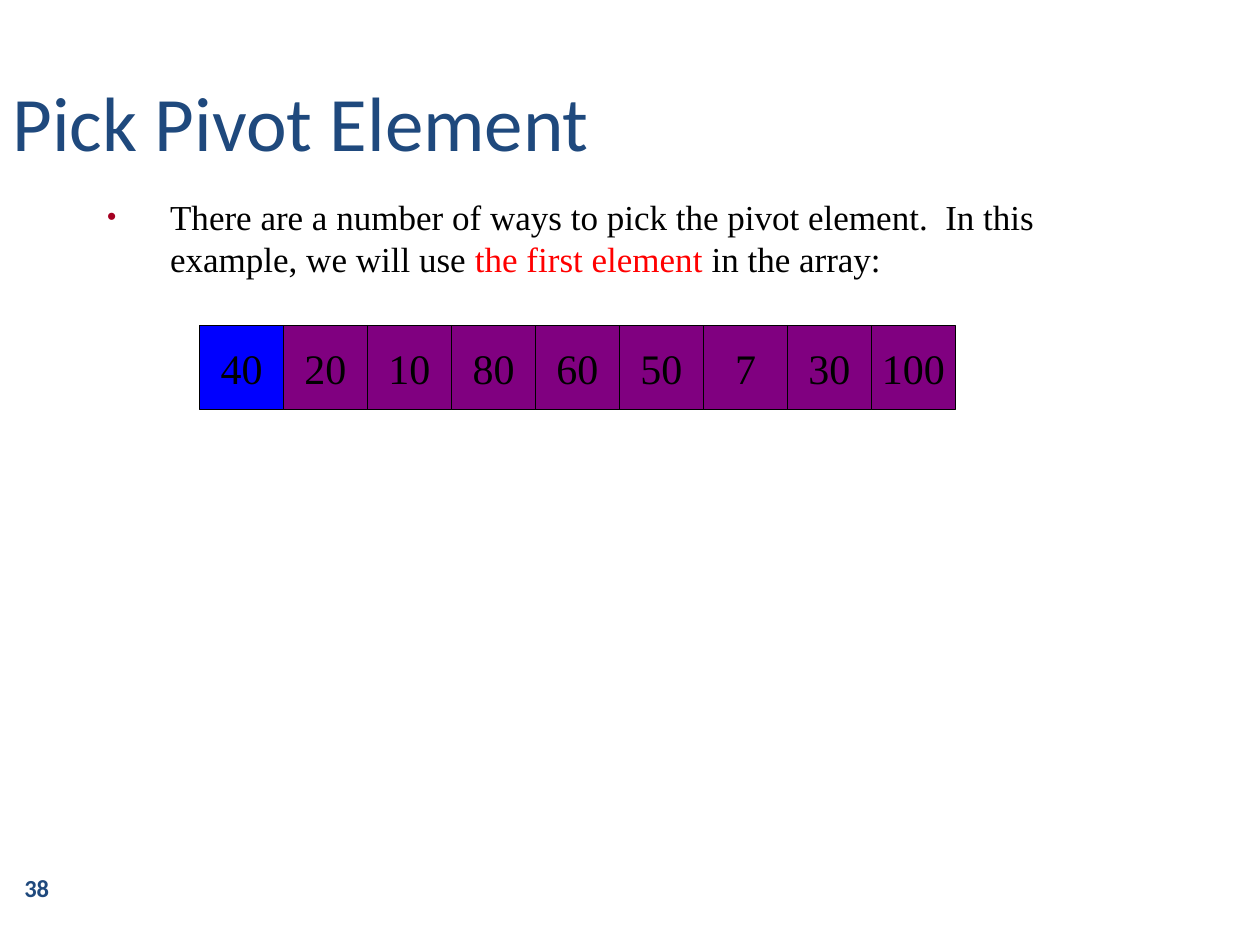
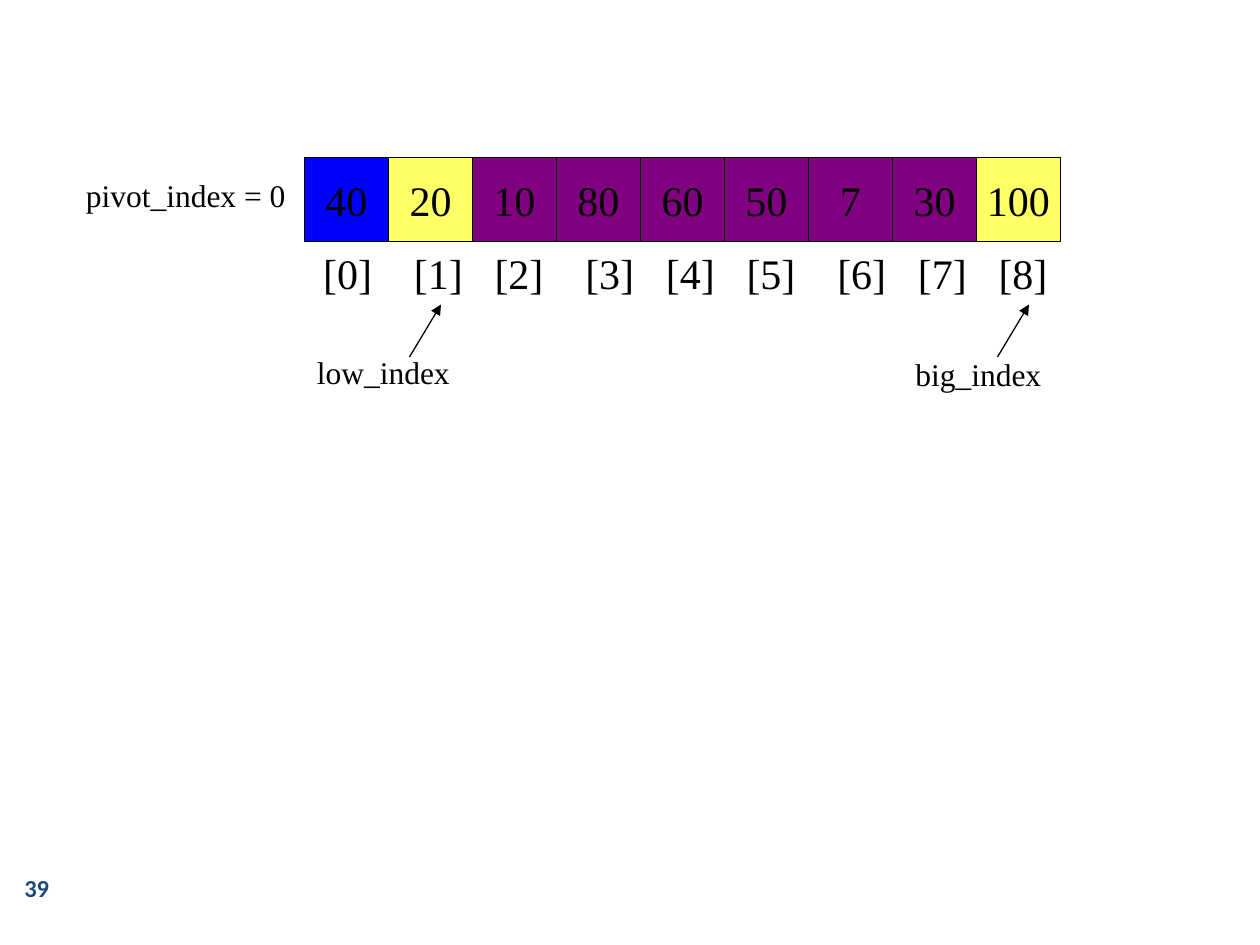
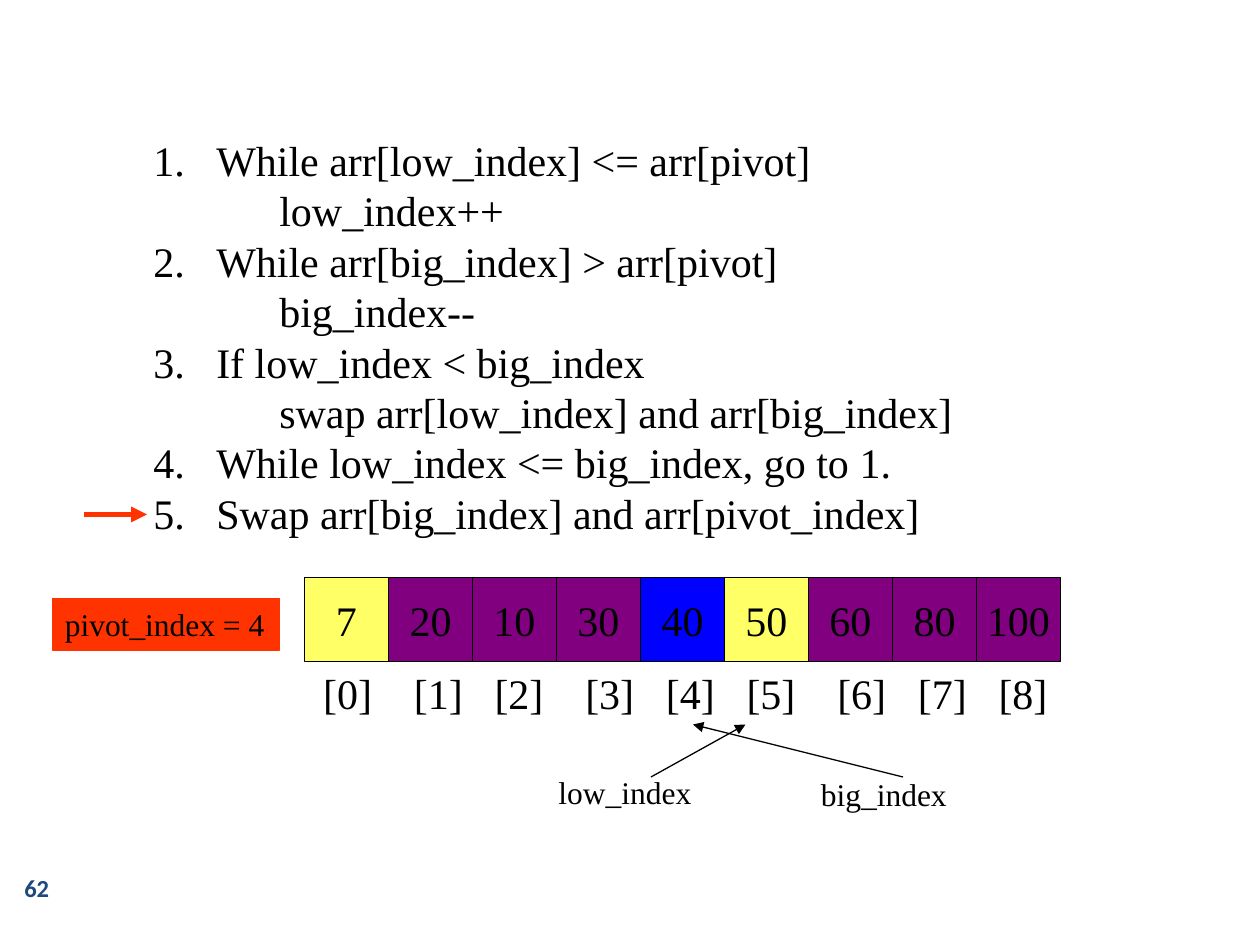
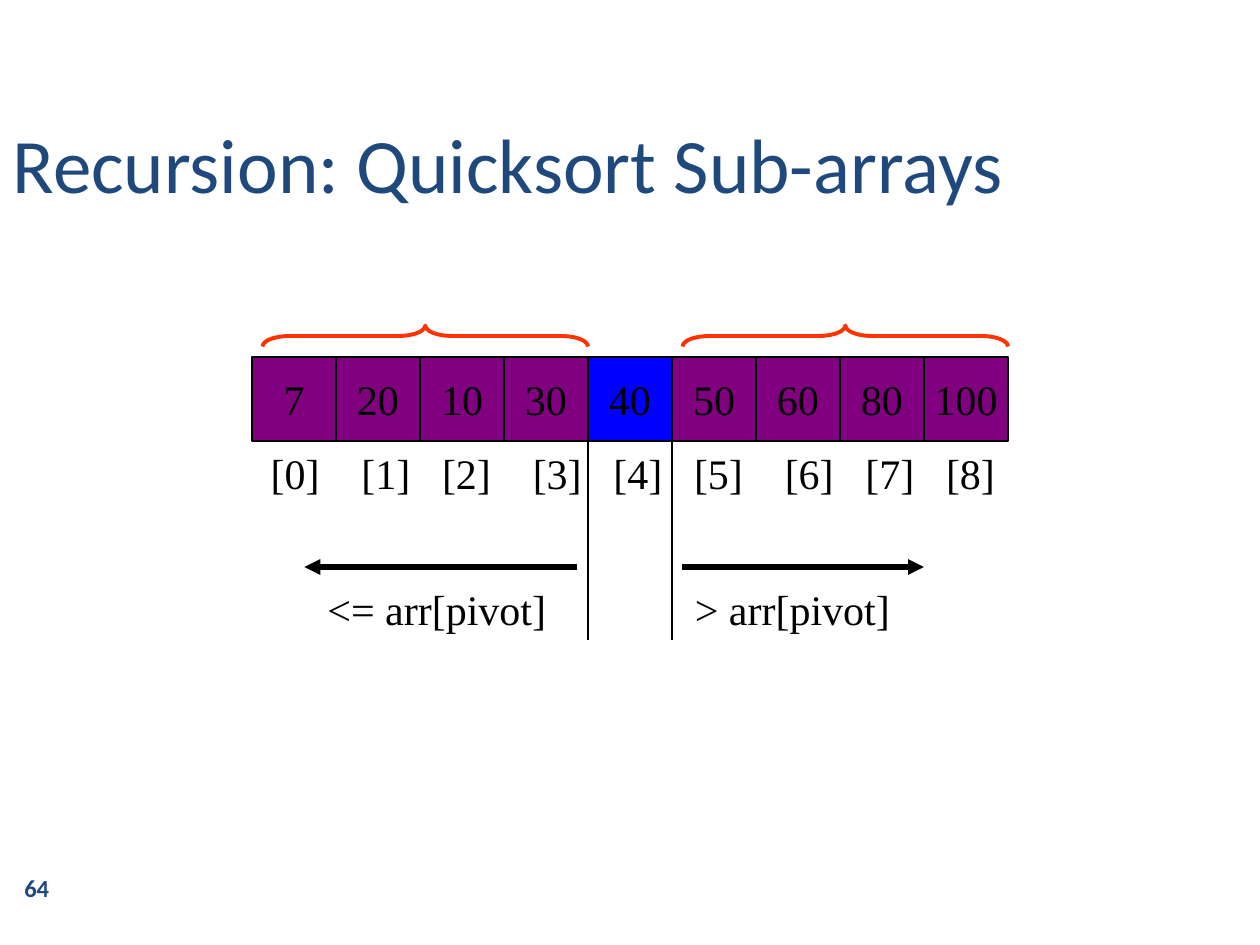
from dataclasses import dataclass
from itertools import accumulate

from lxml import etree
from pptx import Presentation
from pptx.dml.color import RGBColor
from pptx.enum import shapes, text
from pptx.oxml import ns
from pptx import util as u


@dataclass(frozen=True)
class Theme:
    # Colours
    heading: str = "1F497D"
    ink: str = "000000"
    accent: str = "FF0000"
    signal: str = "FF3300"
    bullet: str = "A50021"
    pivot: str = "0000FF"
    marked: str = "FFFF66"
    cell: str = "800080"
    # Fonts
    heading_font: str = "Calibri"
    body_font: str = "Times New Roman"
    # Type sizes and line widths in points
    title_size: int = 44
    body_size: int = 20
    code_size: int = 24
    label_size: int = 18
    number_size: int = 14
    thin: float = 0.75
    medium: float = 2.25
    thick: float = 3


COLUMNS, ROWS = 120, 90
CELL = 8                     # side of an array cell, in grid units
HANG = u.Inches(0.5)         # hanging indent of a list item
WIDE, NARROW = 0.72, 0.64    # steps between index labels, in inches
INDEX_STEPS = [WIDE, NARROW, WIDE, NARROW, NARROW, WIDE, NARROW, NARROW]
LAYOUTS = {"list": 1, "title": 5, "blank": 6}


def apply_format(target, values):
    for name, value in values.items():
        setattr(target, name, value)


def add_element(parent, tag, **attributes):
    element = etree.SubElement(parent, ns.qn(tag))
    for name, value in attributes.items():
        element.set(name, str(value))
    return element


class SlideBuilder:
    """Holds the theme and the page being drawn."""

    def __init__(self, theme):
        self.theme = theme
        self.deck = Presentation()
        apply_format(self.deck, {"slide_width": u.Inches(10),
                                 "slide_height": u.Inches(7.5)})
        self.page = None

    # Grid
    def x(self, column):
        return round(self.deck.slide_width * column / COLUMNS)

    def y(self, row):
        return round(self.deck.slide_height * row / ROWS)

    def area(self, column, row, width, height):
        return self.x(column), self.y(row), self.x(width), self.y(height)

    def place(self, box, *cells):
        apply_format(box, dict(zip(("left", "top", "width", "height"),
                                   self.area(*cells))))

    # Pages
    def new_page(self, number, layout="blank"):
        self.page = self.deck.slides.add_slide(
            self.deck.slide_layouts[LAYOUTS[layout]])
        box = self.page.shapes.add_textbox(*self.area(0, 82, 7, 5))
        self.frame(box, anchor=text.MSO_ANCHOR.MIDDLE)
        self.put_text(box, str(number), self.theme.number_size,
                      color=self.theme.heading, font=self.theme.heading_font,
                      bold=True, align=text.PP_ALIGN.CENTER)

    # Text
    def frame(self, box, anchor=text.MSO_ANCHOR.TOP, **values):
        apply_format(box.text_frame, {
            "auto_size": text.MSO_AUTO_SIZE.NONE, "word_wrap": True,
            "vertical_anchor": anchor, **values})

    def span(self, para, words, size, color=None, font=None, bold=False):
        span = para.add_run()
        span.text = words
        apply_format(span.font, {"size": u.Pt(size), "bold": bold,
                                 "name": font or self.theme.body_font})
        span.font.color.rgb = RGBColor.from_string(color or self.theme.ink)

    def put_text(self, box, words, size, align=text.PP_ALIGN.LEFT, **style):
        para = box.text_frame.paragraphs[0]
        para.alignment = align
        self.span(para, words, size, **style)
        return para

    def title(self, words, row):
        box = self.page.shapes.title
        self.place(box, 0, row, 102, 15)
        self.frame(box, anchor=text.MSO_ANCHOR.MIDDLE)
        self.put_text(box, words, self.theme.title_size,
                      color=self.theme.heading, font=self.theme.heading_font)

    def body(self, *cells):
        box = self.page.placeholders[1]
        self.place(box, *cells)
        self.frame(box)
        return box.text_frame

    def item_format(self, para, margin, indent):
        para.space_before = u.Pt(0)
        properties = para._p.get_or_add_pPr()
        properties.set("marL", str(margin))
        properties.set("indent", str(indent))
        return properties

    def bullet(self, frame, spans):
        para = frame.paragraphs[0]
        properties = self.item_format(para, HANG, -HANG)
        color = add_element(properties, "a:buClr")
        add_element(color, "a:srgbClr", val=self.theme.bullet)
        add_element(properties, "a:buSzPct", val=75000)
        add_element(properties, "a:buChar", char="•")
        for words, color in spans:
            self.span(para, words, self.theme.body_size, color=color)

    def steps(self, frame, steps):
        """Numbered steps, each with an optional action one level below."""
        para = frame.paragraphs[0]
        for number, (condition, action) in enumerate(steps, 1):
            if number > 1:
                para = frame.add_paragraph()
            properties = self.item_format(para, HANG, -HANG)
            add_element(properties, "a:buFont", typeface="+mj-lt")
            add_element(properties, "a:buAutoNum", type="arabicPeriod",
                        startAt=number)
            self.span(para, condition, self.theme.code_size)
            if action:
                para = frame.add_paragraph()
                para.level = 1
                add_element(self.item_format(para, 2 * HANG, 0), "a:buNone")
                self.span(para, action, self.theme.code_size)

    def label(self, words, column, row, width, height=4.8, size=None):
        box = self.page.shapes.add_textbox(
            *self.area(column, row, width, height))
        self.frame(box, margin_right=0)
        return self.put_text(box, words, size or self.theme.label_size)

    # Shapes
    def rectangle(self, fill, line, *cells):
        box = self.page.shapes.add_shape(shapes.MSO_SHAPE.RECTANGLE,
                                         *self.area(*cells))
        box.shadow.inherit = False
        box.fill.solid()
        box.fill.fore_color.rgb = RGBColor.from_string(fill)
        self.outline(box, line, self.theme.thin)
        return box

    def outline(self, box, color, width):
        box.line.color.rgb = RGBColor.from_string(color)
        box.line.width = u.Pt(width)

    def tag(self, words, *cells):
        box = self.rectangle(self.theme.signal, self.theme.signal, *cells)
        self.frame(box, margin_right=0)
        self.put_text(box, words, self.theme.label_size)

    def array(self, values, column, row, pivot, marked=(), indexed=True):
        for place, value in enumerate(values):
            fill = (self.theme.pivot if place == pivot else
                    self.theme.marked if place in marked else self.theme.cell)
            box = self.rectangle(fill, self.theme.ink,
                                 column + place * CELL, row, CELL, CELL)
            self.frame(box, anchor=text.MSO_ANCHOR.MIDDLE, word_wrap=False)
            self.put_text(box, str(value), self.theme.code_size,
                          align=text.PP_ALIGN.CENTER)
        if indexed:
            self.indexes(len(values), column + 0.6, row + CELL)

    def indexes(self, count, column, row):
        words = "\t".join(f"[{place}]" for place in range(count))
        para = self.label(words, column, row, 71.4, 6, self.theme.code_size)
        stops = add_element(para._p.get_or_add_pPr(), "a:tabLst")
        for stop in accumulate(INDEX_STEPS):
            add_element(stops, "a:tab", pos=u.Inches(stop), algn="l")

    def brace(self, column, row, width, height=2):
        # Drawn upright about the same centre, then turned a quarter
        middle, centre = column + width / 2, row + height / 2
        box = self.page.shapes.add_shape(
            shapes.MSO_SHAPE.LEFT_BRACE,
            *self.area(middle - height / 2, centre - width / 2, height, width))
        box.rotation = 90
        box.adjustments[0] = 1.29
        box.shadow.inherit = False
        box.fill.background()
        self.outline(box, self.theme.signal, self.theme.medium)

    def line(self, start, end, color=None, width=None, arrow=True):
        line = self.page.shapes.add_connector(
            shapes.MSO_CONNECTOR.STRAIGHT, self.x(start[0]), self.y(start[1]),
            self.x(end[0]), self.y(end[1]))
        self.outline(line, color or self.theme.ink, width or self.theme.thin)
        if arrow:
            add_element(line.get_or_add_ln(), "a:tailEnd", type="triangle")
        add_element(line._element.spPr, "a:effectLst")


def pick_pivot(show, numbers):
    show.new_page(38, "list")
    show.title("Pick Pivot Element", 4)
    show.bullet(show.body(9, 18, 102, 54), [
        ("There are a number of ways to pick the pivot element.  "
         "In this example, we will use ", show.theme.ink),
        ("the first element ", show.theme.accent),
        ("in the array:", show.theme.ink)])
    show.array(numbers, 19, 31, pivot=0, indexed=False)


def start_partition(show, numbers):
    show.new_page(39)
    show.array(numbers, 29, 15, pivot=0, marked=(1, 8))
    show.label("pivot_index = 0", 7, 16.2, 21.5)
    show.label("low_index", 29, 33, 38)
    show.label("big_index", 86, 33.2, 28)
    for column in (95, 39):
        show.line((column, 34), (column + 3, 29))


def finish_partition(show, numbers):
    show.new_page(62, "list")
    title = show.page.shapes.title._element
    title.getparent().remove(title)
    show.steps(show.body(13.4, 12.2, 79.2, 54.5), [
        ("While arr[low_index] <= arr[pivot]", "low_index++"),
        ("While arr[big_index] > arr[pivot]", "big_index--"),
        ("If low_index < big_index", "swap arr[low_index] and arr[big_index]"),
        ("While low_index <= big_index, go to 1.", None),
        ("Swap arr[big_index] and arr[pivot_index]", None)])
    show.array(numbers, 29, 55, pivot=4, marked=(0, 5))
    show.tag("pivot_index = 4", 5, 57, 21.6, 4.9)
    show.label("low_index", 52, 73, 38)
    show.label("big_index", 77, 73.2, 28)
    show.line((86, 74), (66, 69))
    show.line((62, 74), (71, 69))
    # Current step
    show.line((8, 49), (14, 49), show.theme.signal, show.theme.thick)


def recurse(show, numbers):
    show.new_page(64, "title")
    show.title("Recursion: Quicksort Sub-arrays", 8)
    show.array(numbers, 24, 34, pivot=4)
    # Borders of the pivot
    for column in (56, 64):
        show.line((column, 34), (column, 61), arrow=False)
    # Both sides of the pivot
    for start, end in ((55, 29), (65, 88)):
        show.line((start, 54), (end, 54), width=show.theme.thick)
    for words, column, width in (("<= arr[pivot]", 30, 23.4),
                                 ("> arr[pivot]", 65, 21.1)):
        show.label(words, column, 55, width, 6.1, show.theme.code_size)
    for column in (25, 65):
        show.brace(column, 31, 31)


def main():
    show = SlideBuilder(Theme())
    unsorted = [40, 20, 10, 80, 60, 50, 7, 30, 100]
    partitioned = [7, 20, 10, 30, 40, 50, 60, 80, 100]
    pick_pivot(show, unsorted)
    start_partition(show, unsorted)
    finish_partition(show, partitioned)
    recurse(show, partitioned)
    show.deck.save("out.pptx")


if __name__ == "__main__":
    main()
